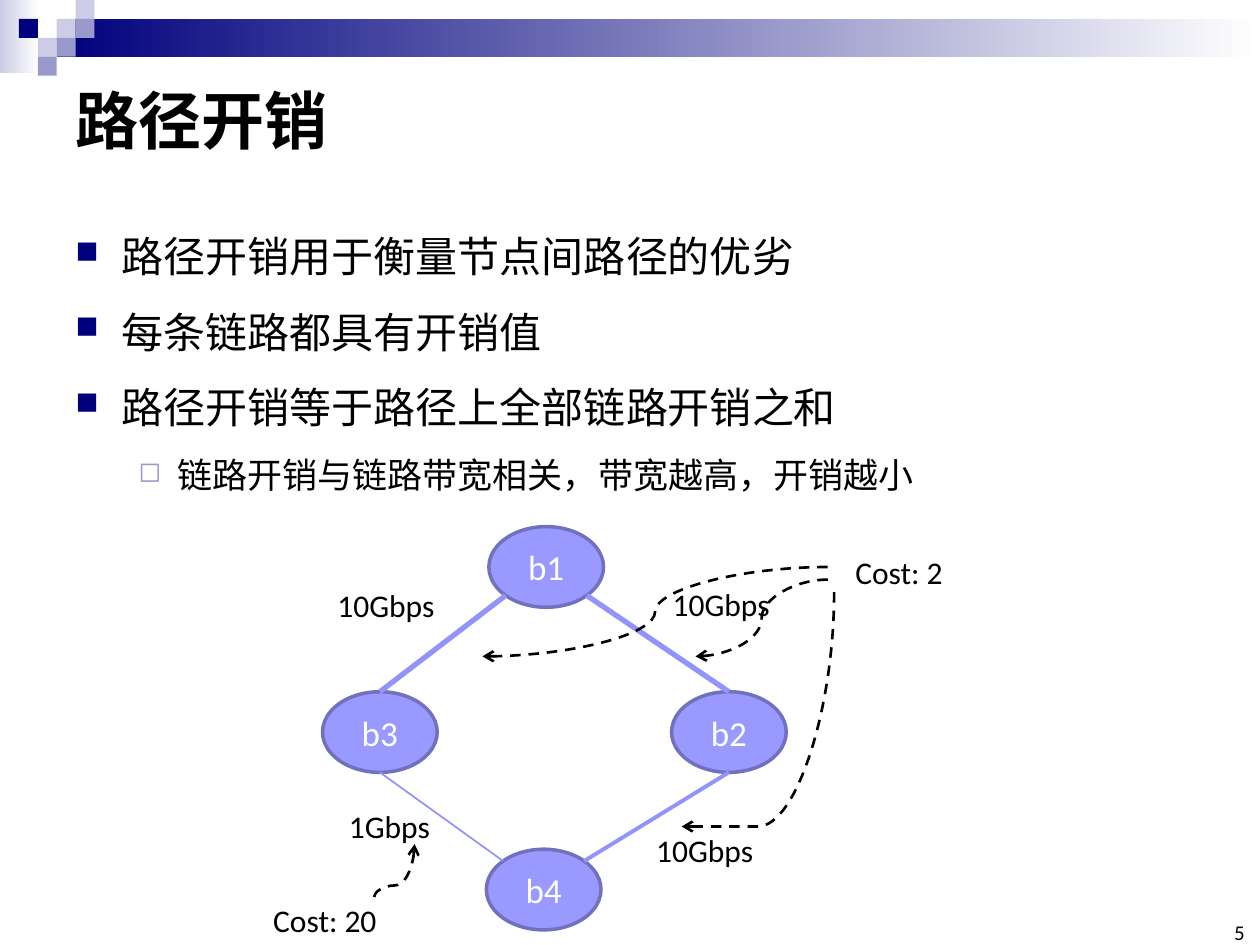
from dataclasses import dataclass
from math import sqrt

from lxml.etree import SubElement
from pptx import Presentation
from pptx.dml.color import RGBColor
from pptx.enum.dml import MSO_LINE
from pptx.enum.shapes import MSO_CONNECTOR as LINK, MSO_SHAPE as SHAPE
from pptx.enum.text import MSO_ANCHOR as ANCHOR, PP_ALIGN as ALIGN
from pptx.oxml.ns import qn
from pptx.util import Inches, Pt


@dataclass(frozen=True)
class Theme:
    font: str = "Calibri"
    text: str = "000000"
    white: str = "FFFFFF"
    navy: str = "00007D"
    violet: str = "9999CC"
    pale: str = "CCCCE6"
    node: str = "9999FF"
    node_edge: str = "7171BD"
    link: str = "9393FC"
    title_size: int = 36
    point_size: int = 24
    detail_size: int = 20
    label_size: int = 18
    number_size: int = 12


THEME = Theme()


def rgb(code):
    return RGBColor.from_string(code)


def write(frame, text, size, color=THEME.text, bold=False, align=ALIGN.LEFT,
          first=True):
    """Write one paragraph and return it."""
    paragraph = frame.paragraphs[0] if first else frame.add_paragraph()
    paragraph.alignment = align
    run = paragraph.add_run()
    run.text = text
    font = run.font
    font.name, font.size, font.bold = THEME.font, Pt(size), bold
    font.color.rgb = rgb(color)
    return paragraph


def text_frame(slide, box, wrap=True, anchor=ANCHOR.TOP):
    frame = slide.shapes.add_textbox(*map(Inches, box)).text_frame
    frame.word_wrap = wrap
    frame.vertical_anchor = anchor
    return frame


def add_bullet(paragraph, char, color, percent, indent, hanging):
    props = paragraph._p.get_or_add_pPr()
    props.set("marL", str(Inches(indent)))
    props.set("indent", str(-Inches(hanging)))
    bullet_color = SubElement(props, qn("a:buClr"))
    SubElement(bullet_color, qn("a:srgbClr"), val=color)
    SubElement(props, qn("a:buSzPct"), val=str(percent * 1000))
    SubElement(props, qn("a:buChar"), char=char)


def add_block(slide, box, *colors, kind=SHAPE.RECTANGLE):
    """Add a borderless shape; two colours make a gradient to the right."""
    block = slide.shapes.add_shape(kind, *map(Inches, box))
    block.shadow.inherit = False
    block.line.fill.background()
    if len(colors) == 1:
        block.fill.solid()
        block.fill.fore_color.rgb = rgb(colors[0])
    else:
        block.fill.gradient()
        block.fill.gradient_angle = 0
        for stop, color in zip(block.fill.gradient_stops, colors):
            stop.color.rgb = rgb(color)
    return block


def add_line(slide, start, end, color, width, kind=LINK.STRAIGHT):
    line = slide.shapes.add_connector(kind, *map(Inches, (*start, *end)))
    line.line.color.rgb = rgb(color)
    line.line.width = Pt(width)
    SubElement(line._element.spPr, qn("a:effectLst"))
    return line


def add_curve(slide, start, end, bend=None):
    """Add a dashed curved arrow; a bend makes it leave vertically."""
    if bend is not None:
        # A quarter turn about the centre brings the ends into place.
        cx, cy = (start[0] + end[0]) / 2, (start[1] + end[1]) / 2
        start, end = [(cx + y - cy, cy - x + cx) for x, y in (start, end)]
    curve = add_line(slide, start, end, THEME.text, 1.5, LINK.CURVE)
    curve.line.dash_style = MSO_LINE.DASH
    props = curve._element.spPr
    SubElement(props.find(qn("a:ln")), qn("a:tailEnd"), type="arrow")
    if bend is not None:
        props.find(qn("a:xfrm")).set("rot", str(90 * 60000))
        guides = props.find(qn("a:prstGeom")).find(qn("a:avLst"))
        SubElement(guides, qn("a:gd"), name="adj1",
                   fmla=f"val {round(bend * 100000)}")


def header(slide, box):
    left, top, width, height = box
    unit = 0.15
    add_block(slide, (left, top, 0.31, height), THEME.pale, THEME.white)
    add_block(slide, (left + 0.45, top + unit, width - 0.45, 2 * unit),
              THEME.navy, THEME.white)
    # Corner squares as column, row, colour
    squares = [(3, 1, THEME.pale), (4, 0, THEME.pale), (4, 1, THEME.violet),
               (2, 2, THEME.pale), (1, 1, THEME.navy), (3, 2, THEME.violet),
               (2, 3, THEME.violet)]
    for column, row, color in squares:
        add_block(slide, (left + column * unit, top + row * unit, unit, unit),
                  color)


def title(slide, box):
    write(text_frame(slide, box, anchor=ANCHOR.MIDDLE), "路径开销",
          THEME.title_size, bold=True)


def points(slide, box):
    frame = text_frame(slide, box)
    main = (THEME.point_size, "■", THEME.navy, 75, 0.37, 0.37)
    detail = (THEME.detail_size, "◻", THEME.violet, 80, 0.81, 0.31)
    lines = [("路径开销用于衡量节点间路径的优劣", main),
             ("每条链路都具有开销值", main),
             ("路径开销等于路径上全部链路开销之和", main),
             ("链路开销与链路带宽相关，带宽越高，开销越小", detail)]
    for index, (text, (size, *bullet)) in enumerate(lines):
        paragraph = write(frame, text, size, first=index == 0)
        paragraph.level = int(bullet[0] == detail[1])
        paragraph.line_spacing = 1.5
        add_bullet(paragraph, *bullet)


def network(slide, box):
    left, top = box[:2]
    node_w, node_h = 0.91, 0.64

    def at(x, y):
        return left + x, top + y

    # Nodes
    nodes = {"b1": (1.81, 0), "b3": (0.49, 1.31), "b2": (3.26, 1.31),
             "b4": (1.79, 2.56)}
    for name, corner in nodes.items():
        node = add_block(slide, (*at(*corner), node_w, node_h), THEME.node,
                         kind=SHAPE.OVAL)
        node.line.color.rgb = rgb(THEME.node_edge)
        node.line.width = Pt(2)
        node.text_frame.vertical_anchor = ANCHOR.MIDDLE
        write(node.text_frame, name, THEME.detail_size, THEME.white,
              align=ALIGN.CENTER)

    def rim(name, across, down):
        """Point on a node's edge in a direction of -1, 0 or 1 each way."""
        x, y = nodes[name]
        reach = 2 * sqrt(across ** 2 + down ** 2)
        return at(x + node_w * (0.5 + across / reach),
                  y + node_h * (0.5 + down / reach))

    # Links, wider for more bandwidth
    links = [(("b1", -1, 1), ("b3", 0, -1), 3),
             (("b1", 1, 1), ("b2", 0, -1), 3),
             (("b2", 0, 1), ("b4", 1, -1), 2.25),
             (("b4", -1, -1), ("b3", 0, 1), 1)]
    for start, end, width in links:
        add_line(slide, rim(*start), rim(*end), THEME.link, width)

    # Bandwidth and cost labels
    labels = [("10Gbps", 0.51, 0.42, 0.98), ("10Gbps", 3.17, 0.41, 0.98),
              ("1Gbps", 0.6, 2.18, 0.85), ("10Gbps", 3.04, 2.37, 0.98),
              ("Cost: 2", 4.62, 0.16, 0.9), ("Cost: 20", 0, 2.92, 1.03)]
    for text, x, y, width in labels:
        write(text_frame(slide, (*at(x, y), width, 0.4), wrap=False), text,
              THEME.label_size)

    # Arrows from costs to links
    arrows = [((4.5, 0.32), (1.76, 1.03), None),
              ((4.5, 0.42), (3.45, 1.03), None),
              ((0.9, 2.94), (1.22, 2.52), 0.22),
              ((4.55, 0.52), (3.34, 2.38), 1)]
    for start, end, bend in arrows:
        add_curve(slide, at(*start), at(*end), bend)


def page_number(slide, box):
    frame = text_frame(slide, box, anchor=ANCHOR.BOTTOM)
    frame.margin_left = frame.margin_right = 0
    frame.margin_top = frame.margin_bottom = 0
    write(frame, "5", THEME.number_size, align=ALIGN.RIGHT)


deck = Presentation()
deck.slide_width, deck.slide_height = Inches(10), Inches(7.5)
path_cost = deck.slides.add_slide(deck.slide_layouts[6])
header(path_cost, (0, 0, 10, 0.58))
title(path_cost, (0.5, 0.5, 9, 0.89))
points(path_cost, (0.5, 1.58, 9, 2.46))
page_number(path_cost, (9.65, 7.33, 0.23, 0.17))
network(path_cost, (2.07, 4.18, 5.52, 3.32))
deck.save("out.pptx")
